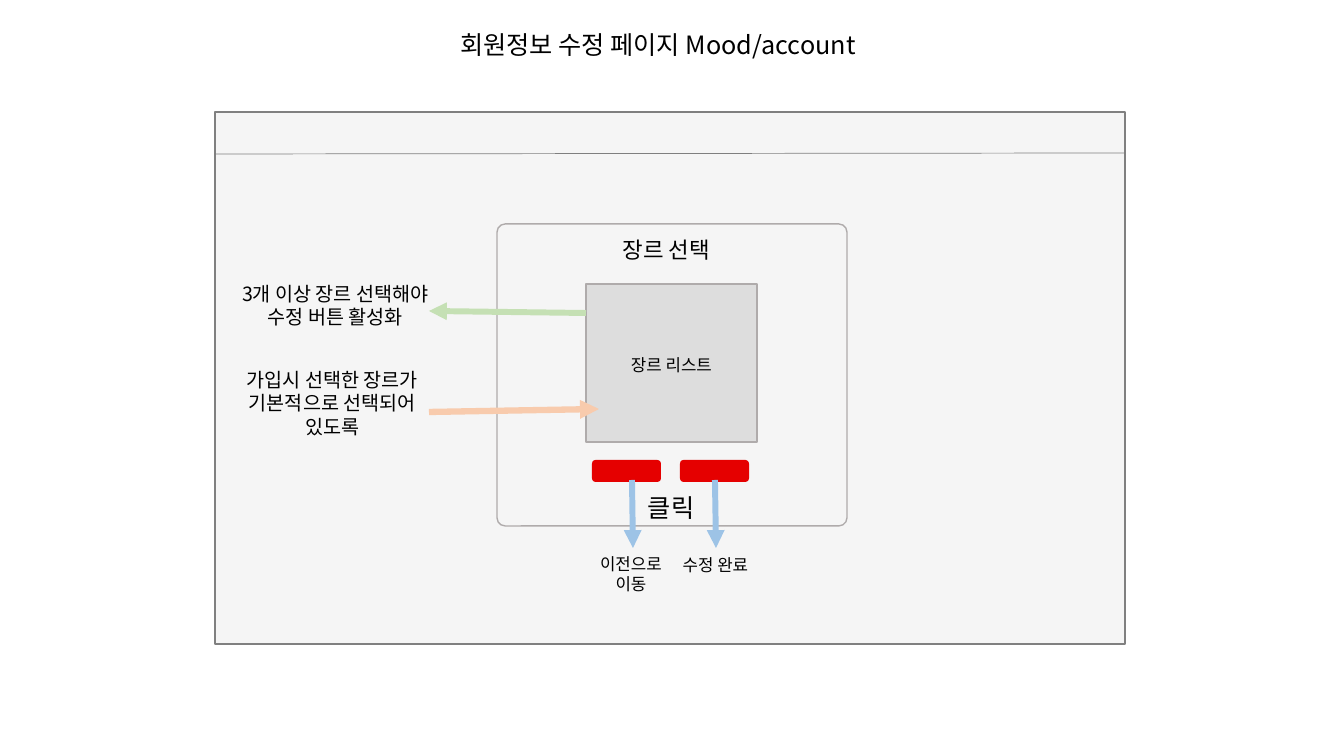
from dataclasses import dataclass
from typing import Optional

from pptx import Presentation
from pptx.dml.color import RGBColor
from pptx.enum.shapes import MSO_CONNECTOR as CONN, MSO_SHAPE as SHAPE
from pptx.enum.text import MSO_ANCHOR as ANCHOR, PP_ALIGN as ALIGN
from pptx.oxml.ns import qn
from pptx.util import Emu, Pt
from lxml.etree import SubElement


@dataclass(frozen=True)
class Theme:
    font: str = "Noto Sans CJK KR"
    text: str = "000000"
    panel: str = "F5F5F5"
    frame: str = "808080"
    rule: str = "7F7F7F"
    edge: str = "AFABAB"
    genres: str = "DDDDDD"
    button: str = "E50000"
    click: str = "9DC3E6"
    rule_note: str = "C5E0B4"
    default_note: str = "F8CBAD"
    title: int = 18
    heading: int = 16
    note: int = 14
    label: int = 12


@dataclass(frozen=True)
class Box:
    x: int
    y: int
    w: int
    h: int
    fill: str
    line: Optional[str] = None
    radius: Optional[float] = None
    text: str = ""


@dataclass(frozen=True)
class Label:
    x: int
    y: int
    w: int
    h: int
    size: int
    lines: tuple[str, ...]
    centred: bool = True


@dataclass(frozen=True)
class Line:
    x1: int
    y1: int
    x2: int
    y2: int
    color: str
    width: float
    arrow: bool = False


T = Theme()

BUTTON_Y, BUTTON_XS = 460, (592, 680)
ARROW_XS = (632, 715)

BOXES = [
    Box(215, 112, 910, 532, T.panel, T.frame),
    Box(497, 224, 350, 302, T.panel, T.edge, 0.027),
    Box(586, 284, 171, 158, T.genres, T.edge, text="장르 리스트"),
    *(Box(x, BUTTON_Y, 69, 22, T.button, radius=0.167) for x in BUTTON_XS),
]

LINES = [
    Line(351, 112, 980, 112, T.rule, 1),
    Line(215, 154, 1125, 153, T.rule, 0.5),
    *(Line(x, 480, x + 1, 548, T.click, 4.25, True) for x in ARROW_XS),
    Line(586, 313, 429, 311, T.rule_note, 4.25, True),
    Line(429, 412, 599, 409, T.default_note, 4.5, True),
]

LABELS = [
    Label(613, 231, 119, 37, T.heading, ("장르 선택",), False),
    Label(638, 487, 71, 40, T.title, ("클릭",), False),
    Label(581, 547, 100, 54, T.label, ("이전으로 이동",)),
    Label(667, 551, 97, 27, T.label, ("수정 완료",)),
    Label(218, 263, 235, 84, T.note, ("3개 이상 장르 선택해야", "수정 버튼 활성화")),
    Label(218, 361, 229, 84, T.note, ("가입시 선택한 장르가", "기본적으로 선택되어 있도록")),
]


def px(n: int) -> Emu:
    return Emu(round(n * 914400 / 100.8))


def rgb(color: str) -> RGBColor:
    return RGBColor.from_string(color)


def write(tf, lines: tuple[str, ...], size: int, align: ALIGN, spacing: float = 1.0) -> None:
    for i, line in enumerate(lines):
        p = tf.paragraphs[0] if i == 0 else tf.add_paragraph()
        p.alignment, p.line_spacing = align, spacing
        p.space_before = Pt(0)
        r = p.add_run()
        r.text = line
        r.font.size, r.font.name = Pt(size), T.font
        r.font.color.rgb = rgb(T.text)
        SubElement(r.font._element, qn("a:ea")).set("typeface", T.font)


def add_box(slide, b: Box) -> None:
    kind = SHAPE.RECTANGLE if b.radius is None else SHAPE.ROUNDED_RECTANGLE
    s = slide.shapes.add_shape(kind, px(b.x), px(b.y), px(b.w), px(b.h))
    s.shadow.inherit = False
    s.fill.solid()
    s.fill.fore_color.rgb = rgb(b.fill)
    if b.radius is not None:
        s.adjustments[0] = b.radius
    if b.line:
        s.line.color.rgb, s.line.width = rgb(b.line), Pt(1)
    else:
        s.line.fill.background()
    if b.text:
        write(s.text_frame, (b.text,), T.label, ALIGN.CENTER, 1.2)


def add_line(slide, ln: Line) -> None:
    c = slide.shapes.add_connector(CONN.STRAIGHT, px(ln.x1), px(ln.y1), px(ln.x2), px(ln.y2))
    c.line.color.rgb, c.line.width = rgb(ln.color), Pt(ln.width)
    if ln.arrow:
        SubElement(c.line._get_or_add_ln(), qn("a:tailEnd")).set("type", "triangle")
    SubElement(c._element.spPr, qn("a:effectLst"))


def add_label(slide, lb: Label) -> None:
    tf = slide.shapes.add_textbox(px(lb.x), px(lb.y), px(lb.w), px(lb.h)).text_frame
    tf.word_wrap = True
    tf.vertical_anchor = ANCHOR.MIDDLE if lb.centred else ANCHOR.TOP
    write(tf, lb.lines, lb.size, ALIGN.CENTER if lb.centred else ALIGN.LEFT)


def main() -> None:
    prs = Presentation()
    prs.slide_width, prs.slide_height = px(1344), px(756)
    slide = prs.slides.add_slide(prs.slide_layouts[5])

    # Page title
    title = slide.shapes.title
    title.left, title.top, title.width, title.height = px(450), px(24), px(445), px(40)
    title.text_frame.word_wrap = True
    title.text_frame.vertical_anchor = ANCHOR.TOP
    write(title.text_frame, ("회원정보 수정 페이지 Mood/account",), T.title, ALIGN.LEFT)

    # Page frame, genre card and buttons
    for b in BOXES:
        add_box(slide, b)

    # Rules and arrows
    for ln in LINES:
        add_line(slide, ln)

    # Headings and notes
    for lb in LABELS:
        add_label(slide, lb)

    prs.save("out.pptx")


if __name__ == "__main__":
    main()
